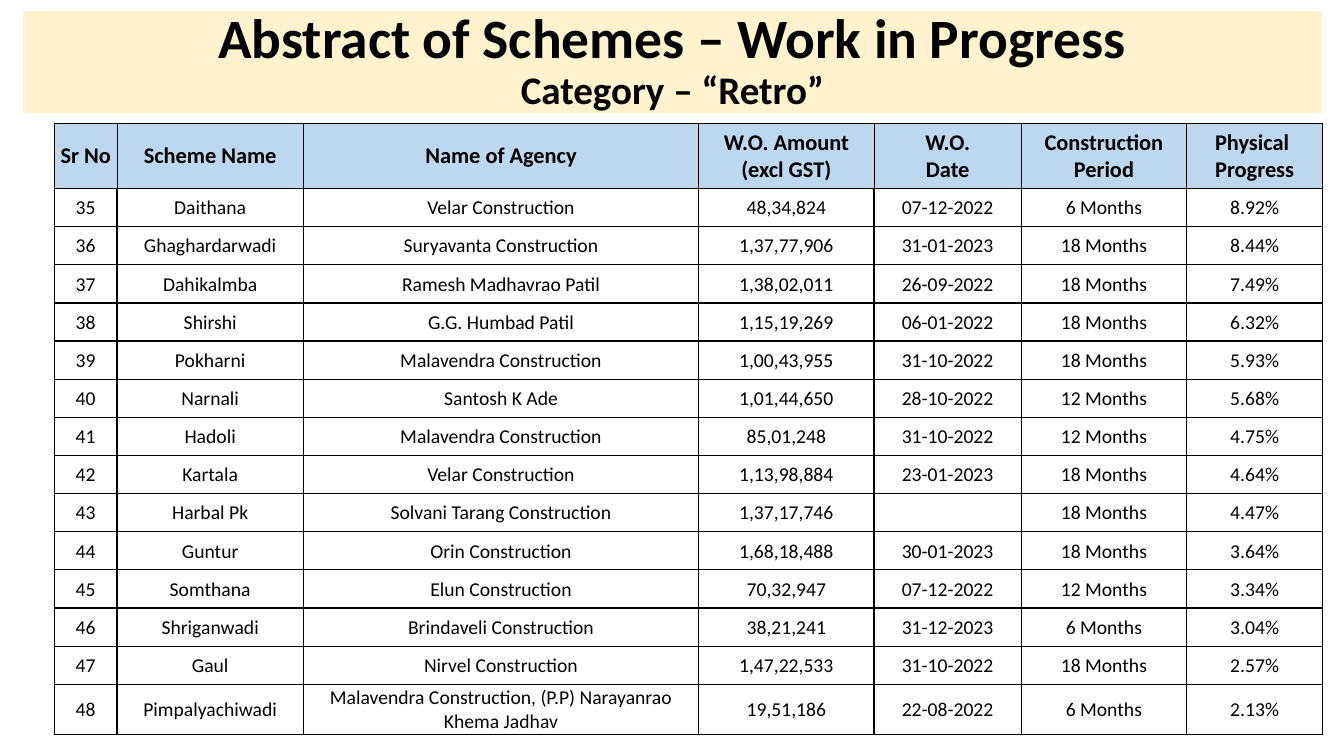
from lxml import etree
from pptx import Presentation
from pptx.dml.color import RGBColor
from pptx.enum import text
from pptx.oxml.ns import qn
from pptx.util import Inches, Pt

# Content
TITLE_LINES = "Abstract of Schemes – Work in Progress", "Category – “Retro”"
HEADINGS = ["Sr No", "Scheme Name", "Name of Agency", "W.O. Amount\v(excl GST)",
            "W.O.\vDate", "Construction\vPeriod", "Physical \nProgress"]
FIRST_NUMBER = 35
SCHEMES = [
    ("Daithana", "Velar Construction", "48,34,824", "07-12-2022", "6 Months", "8.92%"),
    ("Ghaghardarwadi", "Suryavanta Construction", "1,37,77,906", "31-01-2023", "18 Months", "8.44%"),
    ("Dahikalmba", "Ramesh Madhavrao Patil", "1,38,02,011", "26-09-2022", "18 Months", "7.49%"),
    ("Shirshi", "G.G. Humbad Patil", "1,15,19,269", "06-01-2022", "18 Months", "6.32%"),
    ("Pokharni", "Malavendra Construction", "1,00,43,955", "31-10-2022", "18 Months", "5.93%"),
    ("Narnali", "Santosh K Ade", "1,01,44,650", "28-10-2022", "12 Months", "5.68%"),
    ("Hadoli", "Malavendra Construction", "85,01,248", "31-10-2022", "12 Months", "4.75%"),
    ("Kartala", "Velar Construction", "1,13,98,884", "23-01-2023", "18 Months", "4.64%"),
    ("Harbal Pk", "Solvani Tarang Construction", "1,37,17,746", "", "18 Months", "4.47%"),
    ("Guntur", "Orin Construction", "1,68,18,488", "30-01-2023", "18 Months", "3.64%"),
    ("Somthana", "Elun Construction", "70,32,947", "07-12-2022", "12 Months", "3.34%"),
    ("Shriganwadi", "Brindaveli Construction", "38,21,241", "31-12-2023", "6 Months", "3.04%"),
    ("Gaul", "Nirvel Construction", "1,47,22,533", "31-10-2022", "18 Months", "2.57%"),
    ("Pimpalyachiwadi", "Malavendra Construction, (P.P) Narayanrao Khema Jadhav",
     "19,51,186", "22-08-2022", "6 Months", "2.13%"),
]

THEME = {
    "font": "Calibri", "ink": "000000", "banner": "FFF2CC", "heading": "BDD7EE",
    "title_size": 39.6, "category_size": 27.9, "heading_size": 16, "body_size": 14,
}

# Layout, in inches
LEFT, HEADING_TOP, HEADING_HEIGHT = 0.54, 1.22, 0.65
BODY_TOP, BODY_HEIGHT, LAST_ROW = 1.87, 5.42, 0.5
COLUMNS = [0.62, 1.85, 3.92, 1.74, 1.46, 1.64, 1.35]
regular_row = (BODY_HEIGHT - LAST_ROW) / (len(SCHEMES) - 1)
CELL_FORMAT = {
    "margin_left": Inches(0.01), "margin_right": Inches(0.01),
    "margin_top": Inches(0.01), "margin_bottom": 0,
    "vertical_anchor": text.MSO_ANCHOR.MIDDLE,
}


def style_run(run, size, bold):
    for name, value in {"name": THEME["font"], "size": Pt(size), "bold": bold}.items():
        setattr(run.font, name, value)
    run.font.color.rgb = RGBColor.from_string(THEME["ink"])


def add_borders(cell, widths):
    properties = cell._tc.get_or_add_tcPr()
    for side, width in zip("LRTB", widths):
        line = etree.SubElement(properties, qn(f"a:ln{side}"), w=str(Pt(width)))
        fill = etree.SubElement(line, qn("a:solidFill"))
        etree.SubElement(fill, qn("a:srgbClr"), val=THEME["ink"])


def add_grid(slide, rows, top, heights, size, bold, borders, fill=None):
    frame = slide.shapes.add_table(len(rows), len(COLUMNS), Inches(LEFT), Inches(top),
                                   Inches(sum(COLUMNS)), Inches(sum(heights)))
    grid = frame.table
    grid.first_row = grid.horz_banding = False
    for column, width in zip(grid.columns, COLUMNS):
        column.width = Inches(width)
    for grid_row, height, values in zip(grid.rows, heights, rows):
        grid_row.height = Inches(height)
        for cell, value in zip(grid_row.cells, values):
            cell.text = value
            for name, setting in CELL_FORMAT.items():
                setattr(cell, name, setting)
            add_borders(cell, borders)
            if fill:
                cell.fill.solid()
                cell.fill.fore_color.rgb = RGBColor.from_string(fill)
            else:
                cell.fill.background()
            for paragraph in cell.text_frame.paragraphs:
                paragraph.alignment = text.PP_ALIGN.CENTER
                for run in paragraph.runs:
                    style_run(run, size, bold)


def main():
    deck = Presentation()
    deck.slide_width, deck.slide_height = Inches(13.33), Inches(7.5)
    slide = deck.slides.add_slide(deck.slide_layouts[5])

    # Title banner
    title = slide.shapes.title
    banner_box = {"left": 0.23, "top": 0.11, "width": 12.88, "height": 1.01}
    for name, value in banner_box.items():
        setattr(title, name, Inches(value))
    title.fill.solid()
    title.fill.fore_color.rgb = RGBColor.from_string(THEME["banner"])
    title.text_frame.auto_size = text.MSO_AUTO_SIZE.NONE
    title.text_frame.vertical_anchor = text.MSO_ANCHOR.MIDDLE
    title.text_frame.text = "\v".join(TITLE_LINES)
    heading = title.text_frame.paragraphs[0]
    heading.alignment, heading.line_spacing = text.PP_ALIGN.CENTER, 0.9
    for run, size in zip(heading.runs, (THEME["title_size"], THEME["category_size"])):
        style_run(run, size, True)

    # Column headings
    add_grid(slide, [HEADINGS], HEADING_TOP, [HEADING_HEIGHT], THEME["heading_size"], True,
             (0.5, 0.5, 0.5, 1), THEME["heading"])

    # Numbered schemes
    schemes = [(str(number), *scheme) for number, scheme in enumerate(SCHEMES, FIRST_NUMBER)]
    heights = [regular_row] * (len(schemes) - 1) + [LAST_ROW]
    add_grid(slide, schemes, BODY_TOP, heights, THEME["body_size"], False, (1, 1, 1, 1))

    deck.save("out.pptx")


if __name__ == "__main__":
    main()
